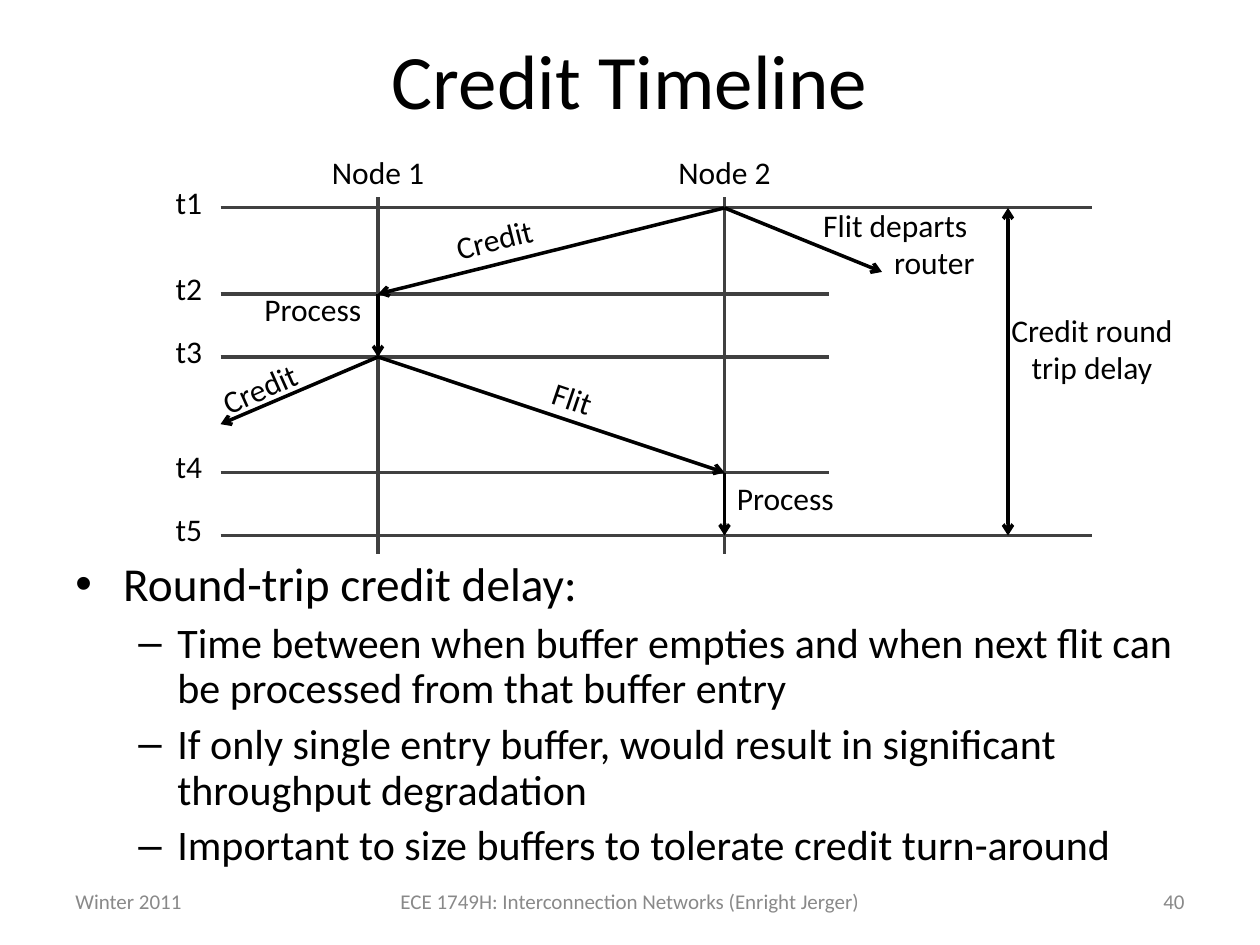
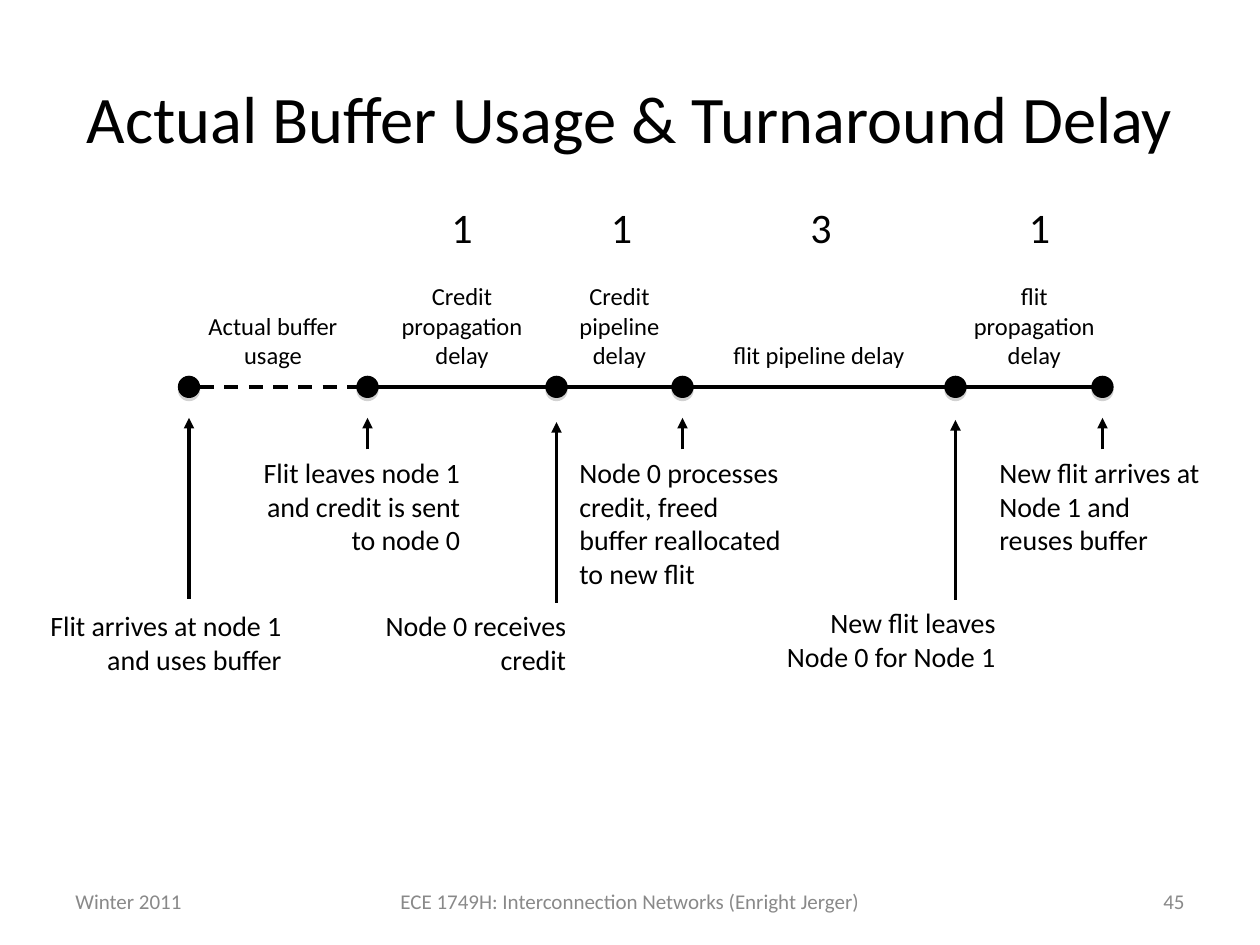
from dataclasses import dataclass

import lxml.etree as etree
import pptx
import pptx.dml.color
import pptx.enum.dml
import pptx.enum.shapes
import pptx.enum.text
import pptx.oxml.ns
import pptx.presentation
import pptx.slide
import pptx.text.text
import pptx.util

qn = pptx.oxml.ns.qn
Align = pptx.enum.text.PP_ALIGN
Anchor = pptx.enum.text.MSO_ANCHOR

FONT = "Calibri"
BLACK, GRID_GREY, FOOTER_GREY, SHADOW_GREY = "000000", "404040", "898989", "808080"
CELL = pptx.util.Inches(1) / 12  # the slide is 120 columns by 90 rows
COLUMNS, ROWS = 120, 90
MARGIN = 6
TEXT_WIDTH = COLUMNS - 2 * MARGIN


@dataclass(frozen=True)
class Label:
    text: str
    left: float
    top: float
    width: float
    height: float = 4.8
    size: float = 18
    align: Align = Align.LEFT
    color: str = BLACK
    rotation: float = 0
    anchor: Anchor = Anchor.TOP
    grows: bool = True


@dataclass(frozen=True)
class Line:
    start: tuple[float, float]
    end: tuple[float, float]
    color: str = BLACK
    width: float = 2
    head: str = ""
    tail: str = ""
    dashed: bool = False


@dataclass(frozen=True)
class Event:
    """A dot on the time axis with the arrow and the text below it."""
    column: float
    text: str
    left: float
    width: float
    lines: int
    align: Align = Align.LEFT
    tip: float = 39.8
    foot: float = 42.8
    top: float = 42.8


@dataclass(frozen=True)
class Stage:
    """A labelled stretch of the time axis, with its length in cycles."""
    text: str
    left: float
    width: float
    lines: int
    cycles: str = ""
    cycles_left: float = 0


def cells(count: float) -> pptx.util.Emu:
    return pptx.util.Emu(round(count * CELL))


def rgb(color: str) -> pptx.dml.color.RGBColor:
    return pptx.dml.color.RGBColor.from_string(color)


def style_font(paragraph: pptx.text.text._Paragraph, size: float, color: str = BLACK) -> None:
    paragraph.font.name = FONT
    paragraph.font.size = pptx.util.Pt(size)
    paragraph.font.color.rgb = rgb(color)


def draw_label(slide: pptx.slide.Slide, label: Label) -> None:
    box = slide.shapes.add_textbox(*map(cells, (label.left, label.top, label.width, label.height)))
    box.rotation = label.rotation
    frame = box.text_frame
    frame.word_wrap = True
    frame.vertical_anchor = label.anchor
    if label.grows:
        frame.auto_size = pptx.enum.text.MSO_AUTO_SIZE.SHAPE_TO_FIT_TEXT
    frame.text = label.text
    for paragraph in frame.paragraphs:
        paragraph.alignment = label.align
        style_font(paragraph, label.size, label.color)


def draw_line(slide: pptx.slide.Slide, line: Line) -> None:
    connector = slide.shapes.add_connector(
        pptx.enum.shapes.MSO_CONNECTOR.STRAIGHT, *map(cells, (*line.start, *line.end)))
    connector.line.color.rgb = rgb(line.color)
    connector.line.width = pptx.util.Pt(line.width)
    if line.dashed:
        connector.line.dash_style = pptx.enum.dml.MSO_LINE.DASH
    properties = connector.element.spPr
    outline = properties.find(qn("a:ln"))
    for tag, arrowhead in (("a:headEnd", line.head), ("a:tailEnd", line.tail)):
        if arrowhead:
            etree.SubElement(outline, qn(tag), type=arrowhead)
    etree.SubElement(properties, qn("a:effectLst"))


def draw_dot(slide: pptx.slide.Slide, column: float, row: float) -> None:
    dot = slide.shapes.add_shape(
        pptx.enum.shapes.MSO_SHAPE.OVAL, *map(cells, (column - 1, row - 1, 2, 2)))
    dot.fill.solid()
    dot.fill.fore_color.rgb = rgb(BLACK)
    dot.line.color.rgb = rgb(BLACK)
    dot.line.width = pptx.util.Pt(0.75)
    dot.shadow.inherit = False
    effects = dot.element.spPr.find(qn("a:effectLst"))
    shadow = etree.SubElement(effects, qn("a:outerShdw"), blurRad="0",
                              dist=str(pptx.util.Pt(1.8)), dir="5400000", rotWithShape="0")
    shade = etree.SubElement(shadow, qn("a:srgbClr"), val=SHADOW_GREY)
    etree.SubElement(shade, qn("a:alpha"), val="35000")


def draw_bullets(slide: pptx.slide.Slide, top: float, height: float, heading: str,
                 points: list[str]) -> None:
    frame = slide.shapes.add_textbox(
        *map(cells, (MARGIN, top, TEXT_WIDTH, height))).text_frame
    frame.word_wrap = True
    frame.text = "\n".join([heading, *points])
    for index, paragraph in enumerate(frame.paragraphs):
        is_point = index > 0
        mark, size, indent, hang = ("–", 24, 0.81, 0.31) if is_point else ("•", 27, 0.38, 0.38)
        paragraph.level = int(is_point)
        paragraph.line_spacing = 0.9
        if is_point:
            paragraph.space_before = pptx.util.Pt(6)
        properties = paragraph._p.get_or_add_pPr()
        properties.set("marL", str(pptx.util.Inches(indent)))
        properties.set("indent", str(-pptx.util.Inches(hang)))
        mark_color = etree.SubElement(properties, qn("a:buClr"))
        etree.SubElement(mark_color, qn("a:srgbClr"), val=BLACK)
        etree.SubElement(properties, qn("a:buFont"), typeface="Arial")
        etree.SubElement(properties, qn("a:buChar"), char=mark)
        style_font(paragraph, size)


def start_slide(deck: pptx.presentation.Presentation, title: str, title_top: float,
                title_size: float, number: int) -> pptx.slide.Slide:
    """Add a blank slide with the shared title and footer."""
    slide = deck.slides.add_slide(deck.slide_layouts[6])
    draw_label(slide, Label(title, MARGIN, title_top, TEXT_WIDTH, 15, title_size, Align.CENTER,
                            anchor=Anchor.MIDDLE, grows=False))
    footers = (
        ("Winter 2011", MARGIN, 28, Align.LEFT),
        ("ECE 1749H: Interconnection Networks (Enright Jerger)", 34, 52, Align.CENTER),
        (str(number), 86, 28, Align.RIGHT),
    )
    for text, left, width, align in footers:
        draw_label(slide, Label(text, left, 83.4, width, 4.8, 12, align, FOOTER_GREY,
                                anchor=Anchor.MIDDLE, grows=False))
    return slide


def build_credit_timeline(deck: pptx.presentation.Presentation) -> None:
    slide = start_slide(deck, "Credit Timeline", 0, 44, 40)
    draw_bullets(slide, 52.8, 33.1, "Round-trip credit delay:", [
        "Time between when buffer empties and when next flit can be processed from that buffer entry",
        "If only single entry buffer, would result in significant throughput degradation",
        "Important to size buffers to tolerate credit turn-around",
    ])

    node_1, node_2, round_trip = 36, 69, 96
    axis_left, short_end, long_end = 21, 79, 104
    times = t1, t2, t3, t4, t5 = 19.8, 28, 34, 45, 51

    for name, column in (("Node 1", node_1), ("Node 2", node_2)):
        draw_line(slide, Line((column, 18.8), (column, 52.8), GRID_GREY, 1.75))
        draw_label(slide, Label(name, column - 10, 14, 20, align=Align.CENTER))
    for index, row in enumerate(times, start=1):
        end = long_end if row in (t1, t5) else short_end
        draw_line(slide, Line((axis_left, row), (end, row), GRID_GREY, 1.75))
        draw_label(slide, Label(f"t{index}", 8, row - 3, 20, align=Align.CENTER))

    messages = (
        ((node_2, t1), (84, 25.9)),
        ((node_2, t1), (node_1, t2)),
        ((node_1, t2), (node_1, t3)),
        ((node_1, t3), (axis_left, 40.4)),
        ((node_1, t3), (node_2, t4)),
        ((node_2, t4), (node_2, t5)),
    )
    for start, end in messages:
        draw_line(slide, Line(start, end, tail="arrow"))
    draw_line(slide, Line((round_trip, t1), (round_trip, t5), head="arrow", tail="arrow"))

    for label in (
        Label("Flit departs \nrouter", 75, 19, 19, 8.4, align=Align.RIGHT),
        Label("Credit", 41.9, 18.1, 28, rotation=345.8),
        Label("Process", 24, 27, 12),
        Label("Credit", 19.8, 34.4, 10.6, rotation=335.9),
        Label("Flit", 50.9, 39, 28, rotation=18.6),
        Label("Process", node_2, t4, 12),
        Label("Credit round trip delay", 94, 29, 20, 8.4, align=Align.CENTER),
    ):
        draw_label(slide, label)


def build_buffer_usage(deck: pptx.presentation.Presentation) -> None:
    slide = start_slide(deck, "Actual Buffer Usage & Turnaround Delay", 3.6, 38, 45)
    axis_row, stage_bottom, cycles_top = 36.85, 35.8, 18.6
    padding, event_line, stage_line = 1.2, 3.2, 2.8

    events = (
        Event(18, "Flit arrives at node 1 and uses buffer", 3, 25, 2, Align.RIGHT,
              foot=57, top=57.4),
        Event(35, "Flit leaves node 1 and credit is sent to node 0", 22, 23, 3, Align.RIGHT),
        Event(53, "Node 0 receives credit", 34.1, 21, 2, Align.RIGHT,
              tip=40.2, foot=57.4, top=57.4),
        Event(65, "Node 0 processes credit, freed buffer reallocated to new flit", 54, 22, 4),
        Event(91, "New flit leaves Node 0 for Node 1", 72, 24, 2, Align.RIGHT,
              tip=40, foot=57.1, top=57.1),
        Event(105, "New flit arrives at Node 1 and reuses buffer", 94, 22, 3),
    )
    stages = (
        Stage("Actual buffer usage", 18, 16, 2),
        Stage("Credit propagation delay", 36, 16, 3, "1", 41.8),
        Stage("Credit pipeline delay", 53, 12, 3, "1", 57),
        Stage("flit pipeline delay", 65, 26, 1, "3", 76),
        Stage("flit propagation delay", 91, 15, 3, "1", 96.8),
    )

    for event in events:
        draw_dot(slide, event.column, axis_row)
        draw_line(slide, Line((event.column, event.foot), (event.column, event.tip),
                              tail="triangle"))
        draw_label(slide, Label(event.text, event.left, event.top, event.width,
                                padding + event_line * event.lines, 16, event.align))
    for before, after, stage in zip(events, events[1:], stages):
        draw_line(slide, Line((before.column + 1, axis_row), (after.column - 1, axis_row),
                              dashed=not stage.cycles))
        height = padding + stage_line * stage.lines
        draw_label(slide, Label(stage.text, stage.left, stage_bottom - height, stage.width,
                                height, 14, Align.CENTER))
        if stage.cycles:
            draw_label(slide, Label(stage.cycles, stage.cycles_left, cycles_top, 6.1, 6, 24))


def main() -> None:
    deck = pptx.Presentation()
    deck.slide_width, deck.slide_height = cells(COLUMNS), cells(ROWS)
    build_credit_timeline(deck)
    build_buffer_usage(deck)
    deck.save("out.pptx")


if __name__ == "__main__":
    main()
